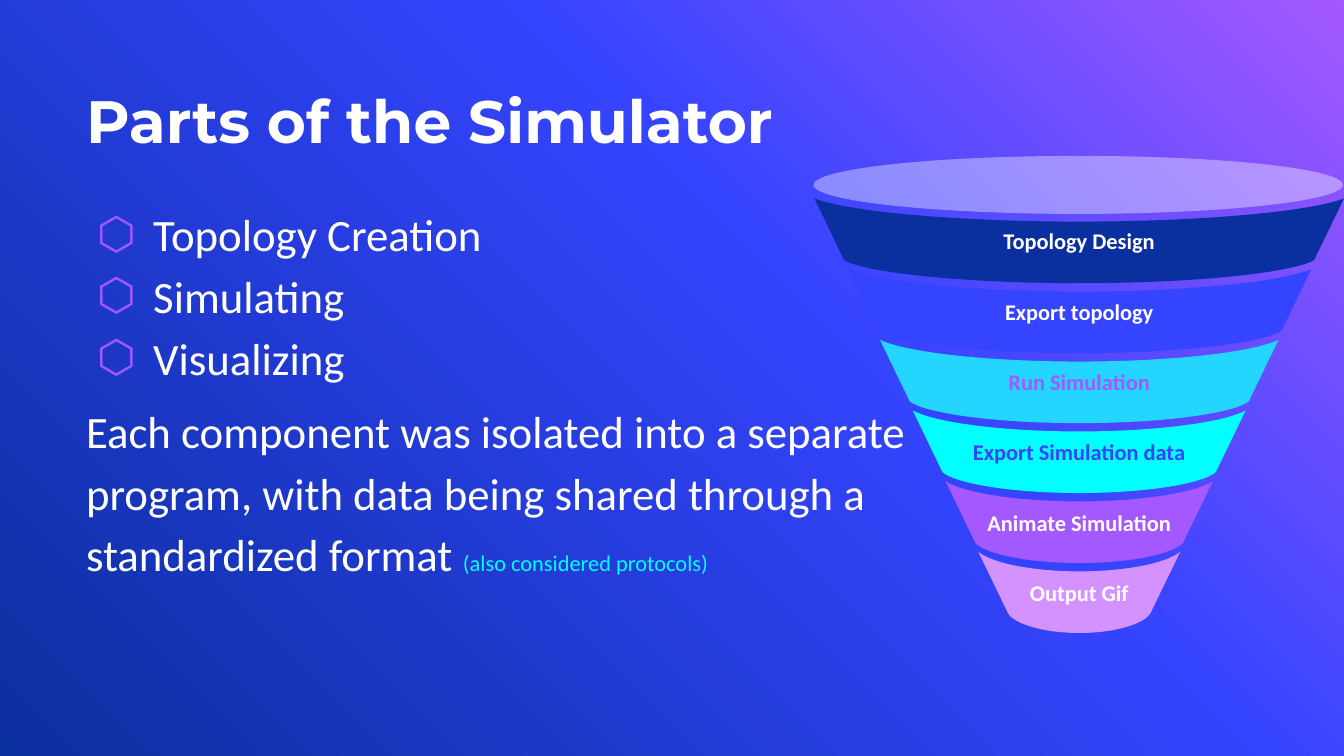
from copy import deepcopy

from lxml import etree
from pptx import Presentation
from pptx.dml.color import RGBColor
from pptx.enum.shapes import MSO_SHAPE
from pptx.enum.text import MSO_ANCHOR, MSO_AUTO_SIZE, PP_ALIGN
from pptx.oxml.ns import qn
from pptx.util import Inches, Pt

ELLIPSE = MSO_SHAPE.OVAL
TOP, MIDDLE, BOTTOM = MSO_ANCHOR.TOP, MSO_ANCHOR.MIDDLE, MSO_ANCHOR.BOTTOM
LEFT, CENTER = PP_ALIGN.LEFT, PP_ALIGN.CENTER
NO_FIT = MSO_AUTO_SIZE.NONE

WHITE = RGBColor(0xFF, 0xFF, 0xFF)
NAVY = RGBColor(0x0A, 0x2F, 0x9E)
BLUE = RGBColor(0x35, 0x44, 0xFF)
SKY = RGBColor(0x24, 0xD6, 0xFF)
CYAN = RGBColor(0x00, 0xFF, 0xFF)
PURPLE = RGBColor(0xA4, 0x58, 0xFF)
LILAC = RGBColor(0xD3, 0x92, 0xFF)

HEADING_FONT, BODY_FONT = "Montserrat", "Calibri"
BACKDROP = [(0, PURPLE), (0.39, BLUE), (1, NAVY)]
PARTS = ["Topology Creation", "Simulating", "Visualizing"]
STAGES = [
    ("Topology Design", NAVY, WHITE),
    ("Export topology", BLUE, WHITE),
    ("Run Simulation", SKY, PURPLE),
    ("Export Simulation data", CYAN, BLUE),
    ("Animate Simulation", PURPLE, WHITE),
    ("Output Gif", LILAC, WHITE),
]


def add_run(paragraph, text, size, color, font=BODY_FONT, bold=False):
    run = paragraph.add_run()
    run.text = text
    run.font.size, run.font.name, run.font.bold = Pt(size), font, bold
    run.font.color.rgb = color


def place(placeholder, box, anchor):
    """Move a placeholder to its box and clear its insets."""
    placeholder.left, placeholder.top, placeholder.width, placeholder.height = map(Inches, box)
    frame = placeholder.text_frame
    frame.margin_left = frame.margin_right = frame.margin_top = frame.margin_bottom = 0
    frame.word_wrap, frame.auto_size, frame.vertical_anchor = True, NO_FIT, anchor
    return frame


def paint_background(slide):
    fill = slide.background.fill
    fill.gradient()
    fill.gradient_angle = 225
    stop_list = slide.background._cSld.find(".//" + qn("a:gsLst"))
    stop_list.append(deepcopy(stop_list[0]))
    for stop, (position, color) in zip(fill.gradient_stops, BACKDROP):
        stop.position = position
        stop.color.rgb = color


def format_item(paragraph, before, bullet=None):
    paragraph.alignment = LEFT
    paragraph.line_spacing = 1.15
    paragraph.space_before = Pt(before)
    props = paragraph._p.get_or_add_pPr()
    props.set("marL", str(Inches(0.5) if bullet else 0))
    props.set("indent", str(Inches(-0.42) if bullet else 0))
    if bullet:
        bullet_color = etree.SubElement(props, qn("a:buClr"))
        etree.SubElement(bullet_color, qn("a:srgbClr"), val=str(PURPLE))
        etree.SubElement(props, qn("a:buFont"), typeface=BODY_FONT)
        etree.SubElement(props, qn("a:buChar"), char=bullet)
    else:
        etree.SubElement(props, qn("a:buNone"))


def fill_title(slide, box):
    heading = place(slide.shapes.title, box, BOTTOM).paragraphs[0]
    heading.alignment = LEFT
    add_run(heading, "Parts of the Simulator", 32, WHITE, HEADING_FONT, True)


def fill_body(slide, box):
    frame = place(slide.placeholders[1], box, TOP)
    for i, part in enumerate(PARTS):
        item = frame.add_paragraph() if i else frame.paragraphs[0]
        format_item(item, 0 if i else 6, "⬡")
        add_run(item, part, 24, WHITE)
    summary = frame.add_paragraph()
    format_item(summary, 6)
    add_run(summary, "Each component was isolated into a separate program, "
            "with data being shared through a standardized format ", 24, WHITE)
    add_run(summary, "(also considered protocols)", 12, CYAN)


def bend(segment, *controls):
    """Turn a straight path segment into a cubic curve with two control points."""
    segment.tag = qn("a:cubicBezTo")
    for i, (x, y) in enumerate(controls):
        segment.insert(i, segment.makeelement(qn("a:pt"), {"x": str(round(x)), "y": str(round(y))}))


def add_tier(shapes, center, top, upper_half, lower_half, upper_dip, lower_corner, height):
    """A band with straight sides and sagging top and bottom edges."""
    builder = shapes.build_freeform(center - upper_half, top)
    builder.add_line_segments([
        (center - lower_half, top + lower_corner),
        (center, top + height),
        (center + lower_half, top + lower_corner),
        (center + upper_half, top),
        (center, top + upper_dip),
        (center - upper_half, top),
    ], close=True)
    tier = builder.convert_to_shape()
    lines = list(tier._element.iter(qn("a:lnTo")))

    def curve(half, corner, middle, inner, outer, drop):
        near = corner + (middle - corner) * drop
        return [(upper_half + x * half, y) for x, y in
                ((-outer, near), (-inner, middle), (inner, middle), (outer, near))]

    lower = curve(lower_half, lower_corner, height, 0.53, 0.92, 0.5)
    upper = curve(upper_half, 0, upper_dip, 0.42, 0.85, 0.63)
    bend(lines[1], *lower[:2])
    bend(lines[2], *lower[2:])
    bend(lines[4], *upper[:1:-1])
    bend(lines[5], *upper[1::-1])
    return tier


def paint(shape, color):
    shape.shadow.inherit = False
    shape.fill.solid()
    shape.fill.fore_color.rgb = color
    shape.line.fill.background()


def add_funnel(slide, box):
    left, top, width, height = map(Inches, box)
    col, row, center = width / 16, height / 6.82, left + width / 2
    funnel = slide.shapes.add_group_shape().shapes

    # Tiers, each about one column narrower per side and one row lower
    for i, (label, color, ink) in enumerate(STAGES):
        dip, sag = 0.33 - 0.01 * i, 0.33 - 0.01 * i
        tier = add_tier(funnel, center, top + (0.94 + i - dip) * row,
                        (8 - 0.99 * i) * col, (7.1 - 0.99 * i) * col,
                        dip * row, (0.88 + dip - sag) * row, (0.88 + dip) * row)
        paint(tier, color)
        frame = tier.text_frame
        frame.word_wrap, frame.vertical_anchor = True, MIDDLE
        frame.margin_left = frame.margin_right = Inches(0.07)
        frame.margin_top = frame.margin_bottom = Inches(0.04)
        frame.paragraphs[0].alignment = CENTER
        add_run(frame.paragraphs[0], label, 12, ink, bold=True)

    # Translucent mouth
    mouth = funnel.add_shape(ELLIPSE, int(left - 0.03 * col), top, width, int(0.83 * row))
    paint(mouth, WHITE)
    tint = mouth._element.spPr.find(qn("a:solidFill"))[0]
    etree.SubElement(tint, qn("a:alpha"), val="38000")


def main():
    deck = Presentation()
    deck.slide_width = Inches(10)
    deck.slide_height = deck.slide_width * 9 // 16
    slide = deck.slides.add_slide(deck.slide_layouts[1])
    paint_background(slide)
    fill_title(slide, (0.64, 0.22, 6.58, 0.94))
    fill_body(slide, (0.64, 1.48, 6.58, 3.46))
    add_funnel(slide, (6.06, 1.16, 3.94, 3.55))
    deck.save("out.pptx")


if __name__ == "__main__":
    main()
